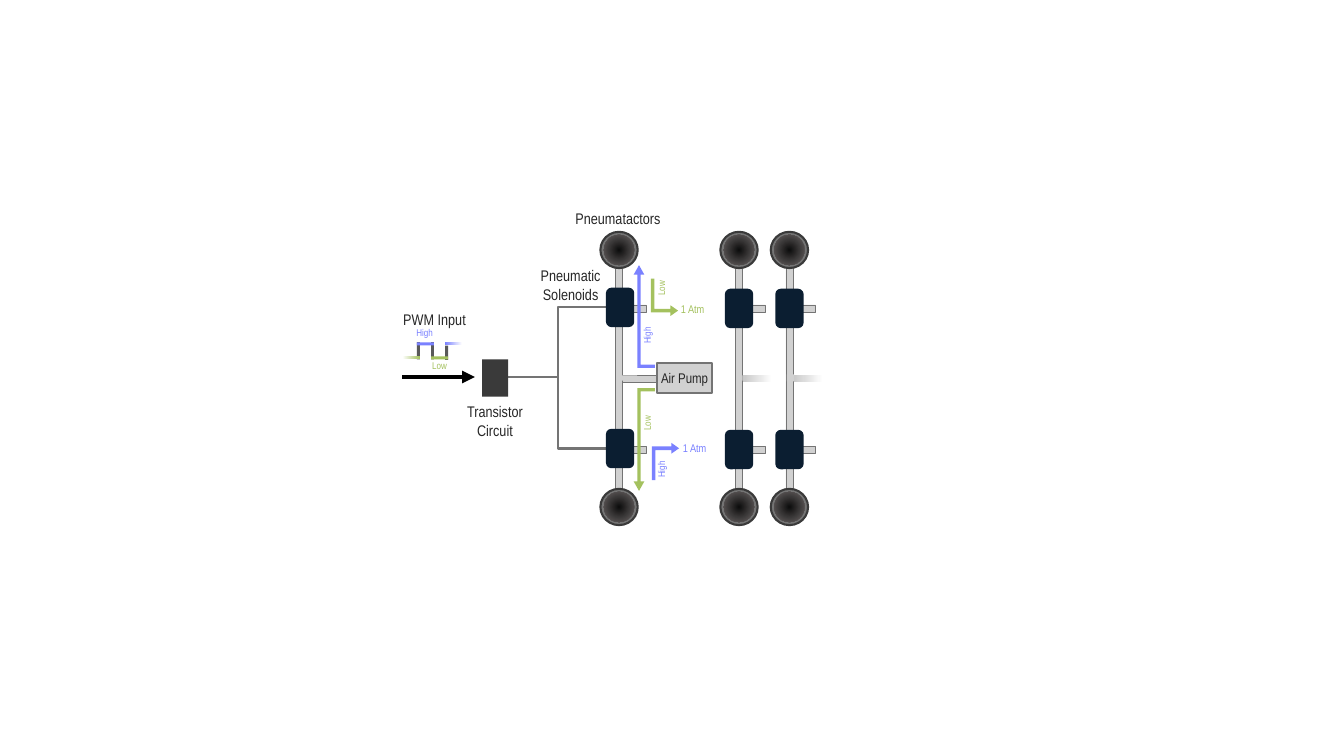
from lxml import etree
from pptx import Presentation
from pptx.dml.color import RGBColor
from pptx.enum.shapes import MSO_CONNECTOR as CONN, MSO_SHAPE as SHAPE
from pptx.enum.text import MSO_AUTO_SIZE as FIT, PP_ALIGN as ALIGN
from pptx.oxml import parse_xml
from pptx.oxml.ns import nsdecls, qn
from pptx.util import Inches, Pt

FONT = "Arial Narrow"
INK, HIGH, LOW = "262626", "7A81FF", "A4C15E"
PIPE, EDGE, NAVY, DARK, PULSE = "D1D1D1", "747474", "0B1E31", "3A3A3A", "595959"
CONE = [(0, "0D0D0D"), (80, "595555"), (100, "747474")]
FADE = [(0, "FFFFFF"), (100, "BFBFBF")]

MID_Y = 3.75
PORT_ROWS = (3.06, 4.46)
DISC_ROWS = (2.48, 5.03)
# column centre, solenoid shift (x, y), port shift, feed (shift, length, fades), joint (shift, width, length)
COLUMNS = [
    (6.14, (0.01, -0.01), 0.18, (0.21, 0.44, False), (0.08, 0.05, 0.2)),
    (7.33, (0, 0), 0.17, (0.16, 0.34, True), (0.01, 0.05, 0.05)),
    (7.83, (0, 0), 0.17, (0.16, 0.34, True), (0.01, 0.07, 0.07)),
]
WIRE_START = (5.04, 3.74)
WIRE_ENDS = [(6.02, 3.05), (5.53, 3.74), (6.02, 4.45)]

LABELS = [
    ("Air Pump", 6.79, 3.75, 0.68, 0.27, 10, INK, 0),
    ("Pneumatic Solenoids", 5.66, 2.83, 0.96, 0.47, 11, INK, 0),
    ("Transistor Circuit", 4.91, 4.18, 0.76, 0.47, 11, INK, 0),
    ("Pneumatactors", 6.13, 2.17, 1.13, 0.29, 11, INK, 0),
    ("PWM Input", 4.31, 3.17, 0.98, 0.29, 11, INK, 0),
    ("High", 4.21, 3.3, 0.51, 0.22, 7, HIGH, 0),
    ("Low", 4.36, 3.63, 0.43, 0.22, 7, LOW, 0),
    ("High", 6.42, 3.33, 0.47, 0.22, 7, HIGH, 270),
    ("Low", 6.42, 4.2, 0.47, 0.22, 7, LOW, 270),
    ("Low", 6.56, 2.86, 0.38, 0.22, 7, LOW, 270),
    ("High", 6.56, 4.66, 0.38, 0.22, 7, HIGH, 270),
    ("1 Atm", 6.87, 3.07, 0.44, 0.24, 8, LOW, 0),
    ("1 Atm", 6.89, 4.45, 0.44, 0.24, 8, HIGH, 0),
]
LONG, SHORT = (0.161, 0.25, 0.447), (0.134, 0.196, 0.281)
ARROWS = [
    (6.39, 3.14, 0.21, 1.02, 180, True, LONG, HIGH),
    (6.6, 4.58, 0.37, 0.27, 270, True, SHORT, HIGH),
    (6.39, 4.36, 0.21, 1.02, 180, False, LONG, LOW),
    (6.59, 2.95, 0.37, 0.27, 90, False, SHORT, LOW),
]
PULSE_X, PULSE_STEP = 4.08, 0.14
PULSE_EDGES = [(3.48, 0.17), (3.48, 0.17), (3.5, 0.14)]
PULSE_LEVELS = [
    (3.55, [(0, "FFFFFF"), (100, LOW)], 90),
    (3.41, HIGH, 0),
    (3.55, LOW, 0),
    (3.41, [(0, "FFFFFF"), (100, HIGH)], 270),
]

prs = Presentation()
prs.slide_width, prs.slide_height = Inches(13.33), Inches(7.5)
s = prs.slides.add_slide(prs.slide_layouts[6])


def rgb(code):
    return RGBColor.from_string(code)


def gradient(sp, stops, angle):
    gs = "".join(f'<a:gs pos="{pos * 1000}"><a:srgbClr val="{code}"/></a:gs>' for pos, code in stops)
    if angle is None:
        way = '<a:path path="circle"><a:fillToRect l="50000" t="50000" r="50000" b="50000"/></a:path>'
    else:
        way = f'<a:lin ang="{angle * 60000}" scaled="0"/>'
    xml = f'<a:gradFill {nsdecls("a")} rotWithShape="1"><a:gsLst>{gs}</a:gsLst>{way}</a:gradFill>'
    sp._element.spPr.find(qn("a:prstGeom")).addnext(parse_xml(xml))


def frame(cx, cy, w, h):
    return [Inches(v) for v in (cx - w / 2, cy - h / 2, w, h)]


def shape(kind, cx, cy, w, h, fill, line=None, rot=0, angle=None):
    sp = s.shapes.add_shape(kind, *frame(cx, cy, w, h))
    sp.rotation = rot
    sp.shadow.inherit = False
    if isinstance(fill, list):
        gradient(sp, fill, angle)
    else:
        sp.fill.solid()
        sp.fill.fore_color.rgb = rgb(fill)
    if line:
        sp.line.color.rgb, sp.line.width = rgb(line[0]), Pt(line[1])
    else:
        sp.line.fill.background()
    return sp


def connector(kind, start, end, color, width):
    c = s.shapes.add_connector(kind, *[Inches(v) for v in (*start, *end)])
    c.line.color.rgb, c.line.width = rgb(color), Pt(width)
    etree.SubElement(c._element.spPr, qn("a:effectLst"))
    return c


def label(text, cx, cy, w, h, size, color, rot):
    sp = s.shapes.add_textbox(*frame(cx, cy, w, h))
    sp.rotation = rot
    tf = sp.text_frame
    tf.word_wrap = text != "1 Atm"
    tf.auto_size = FIT.SHAPE_TO_FIT_TEXT
    p = tf.paragraphs[0]
    p.alignment = ALIGN.CENTER
    r = p.add_run()
    r.text = text
    r.font.name, r.font.size, r.font.color.rgb = FONT, Pt(size), rgb(color)


def pneumatic_column(x, solenoid, port, feed, joint):
    outline = (EDGE, 0.5)
    for y in PORT_ROWS:
        shape(SHAPE.RECTANGLE, x + port, y, 0.07, 0.18, PIPE, outline, 90)
    shift, length, fades = feed
    shape(SHAPE.RECTANGLE, x + shift, MID_Y + 0.01, 0.07, length,
          FADE if fades else PIPE, None if fades else outline, 90, 90)
    shape(SHAPE.RECTANGLE, x, MID_Y, 0.07, 2.54, PIPE, outline)
    for y in PORT_ROWS:
        shape(SHAPE.ROUNDED_RECTANGLE, x + solenoid[0], y + solenoid[1], 0.37, 0.26, NAVY, (NAVY, 1.5), 90)
    for y in DISC_ROWS:
        shape(SHAPE.OVAL, x, y, 0.37, 0.36, EDGE, (DARK, 1.5))
        shape(SHAPE.OVAL, x, y, 0.3, 0.3, CONE)
    shift, w, length = joint
    shape(SHAPE.RECTANGLE, x + shift, MID_Y, w, length, PIPE, None, 90)


for end in WIRE_ENDS:
    connector(CONN.ELBOW, WIRE_START, end, EDGE, 1.5)
for column in COLUMNS:
    pneumatic_column(*column)
shape(SHAPE.RECTANGLE, 6.79, MID_Y, 0.29, 0.54, PIPE, (EDGE, 1.5), 90)
shape(SHAPE.RECTANGLE, 4.91, MID_Y, 0.37, 0.26, DARK, None, 90)

for cx, cy, w, h, rot, flip, adjust, color in ARROWS:
    sp = shape(SHAPE.BENT_UP_ARROW, cx, cy, w, h, color, None, rot)
    for i, value in enumerate(adjust):
        sp.adjustments[i] = value
    if flip:
        sp._element.spPr.find(qn("a:xfrm")).set("flipV", "1")

pwm = connector(CONN.STRAIGHT, (4.71, 3.74), (3.99, 3.74), "000000", 3)
etree.SubElement(pwm.line._get_or_add_ln(), qn("a:headEnd"), type="triangle")
for i, (y, h) in enumerate(PULSE_EDGES):
    shape(SHAPE.RECTANGLE, PULSE_X + (i + 0.5) * PULSE_STEP, y, 0.03, h, PULSE)
for i, (y, fill, angle) in enumerate(PULSE_LEVELS):
    shape(SHAPE.RECTANGLE, PULSE_X + i * PULSE_STEP, y, 0.03, 0.17, fill, None, 270, angle)

for item in LABELS:
    label(*item)

prs.save("out.pptx")
